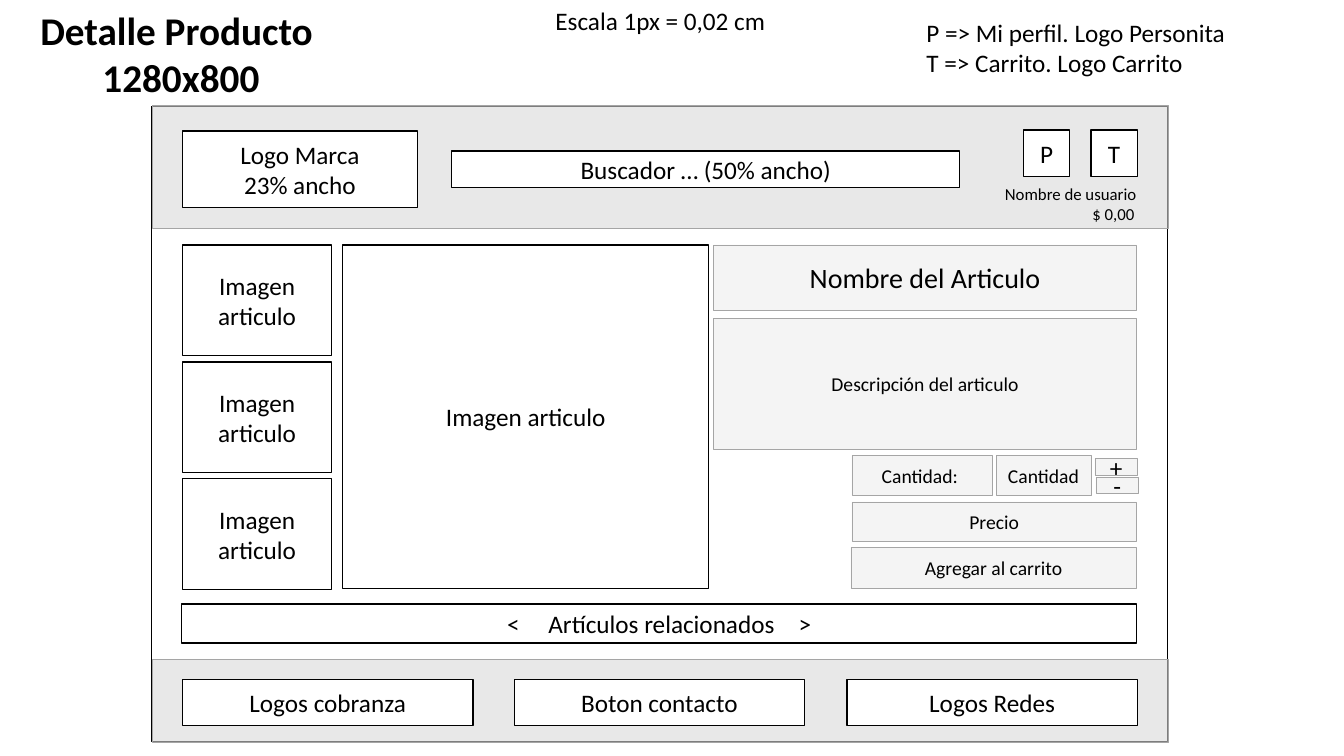
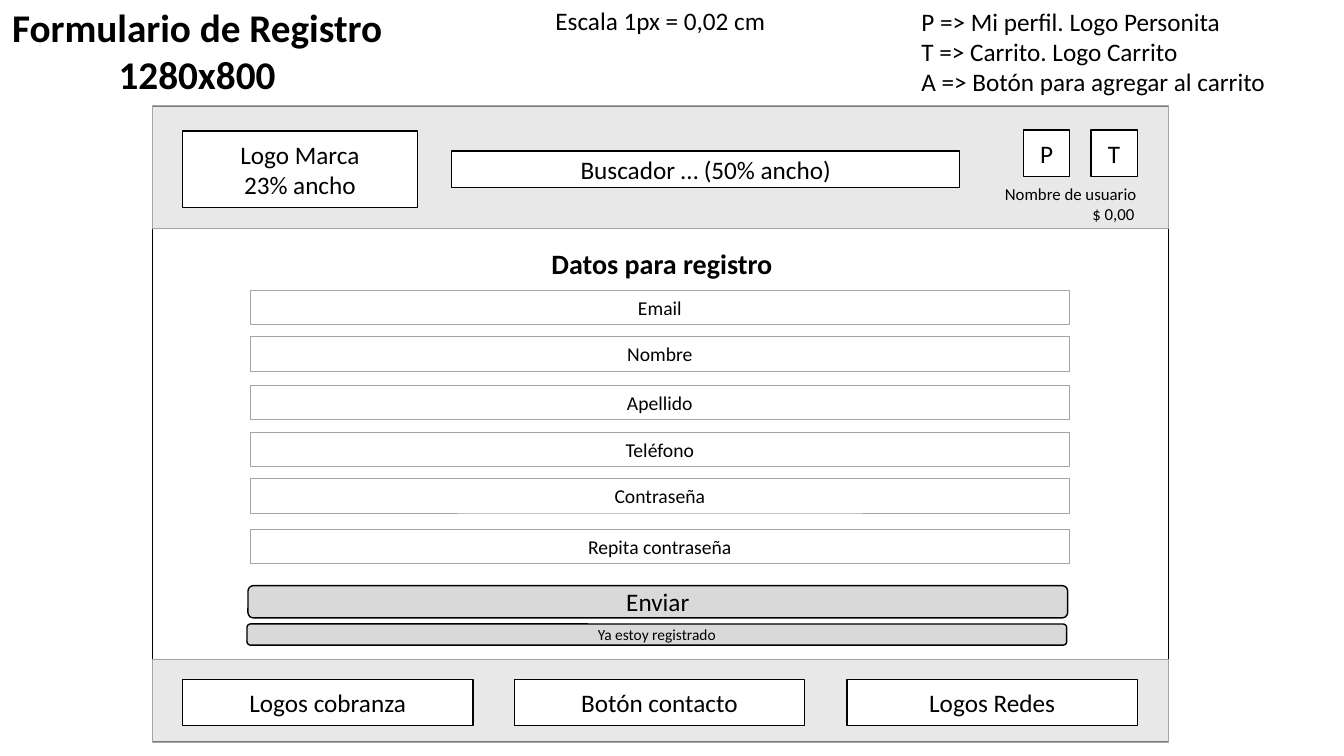
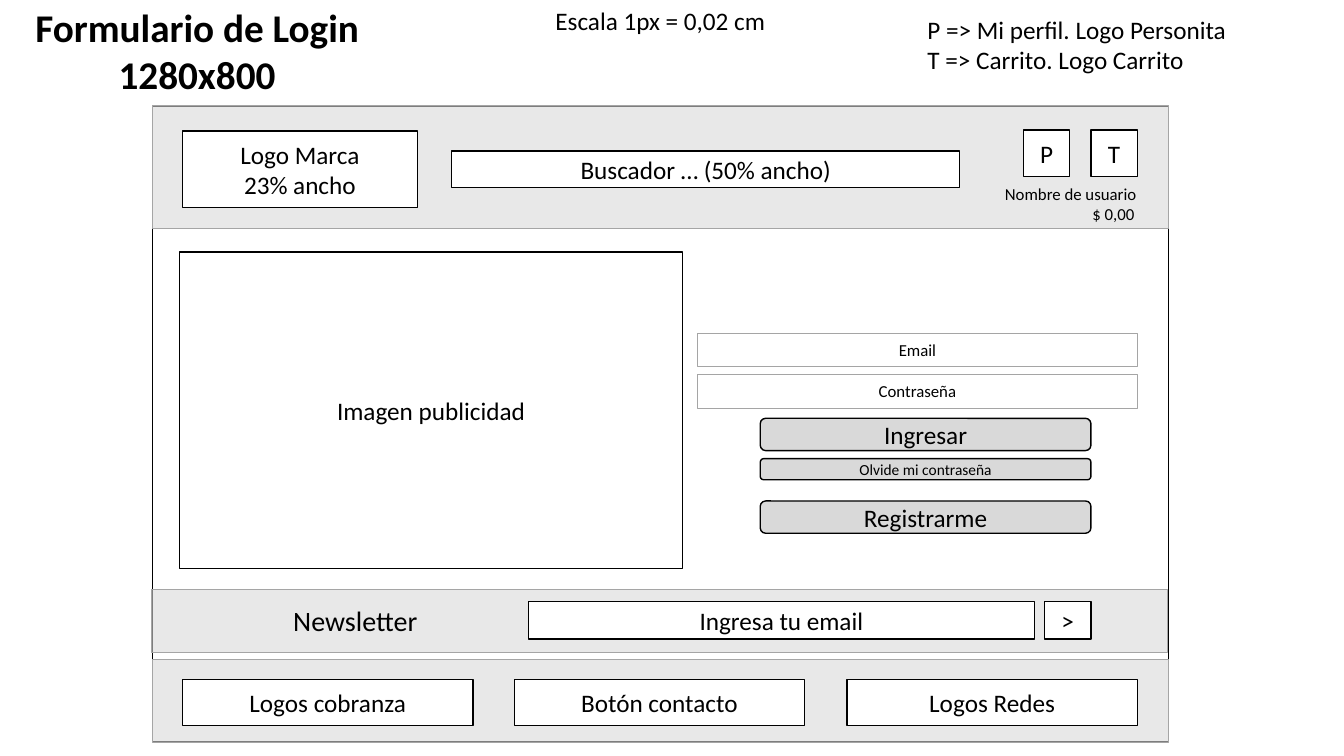
from dataclasses import dataclass

from lxml import etree
from pptx import Presentation
from pptx.dml.color import RGBColor
from pptx.enum.shapes import MSO_SHAPE
from pptx.enum.text import MSO_ANCHOR, MSO_AUTO_SIZE, PP_ALIGN
from pptx.oxml.ns import qn
from pptx.util import Pt

# Shared style: 100 px to the inch
EMU_PER_PX = 9144
FONT = "Calibri"
BLACK, WHITE, GREY, RULE_GREY = "000000", "FFFFFF", "D9D9D9", "A5A5A5"
RECT, ROUNDED = MSO_SHAPE.RECTANGLE, MSO_SHAPE.ROUNDED_RECTANGLE
LEFT, CENTER, RIGHT = PP_ALIGN.LEFT, PP_ALIGN.CENTER, PP_ALIGN.RIGHT
TOP, MIDDLE = MSO_ANCHOR.TOP, MSO_ANCHOR.MIDDLE
TITLE_ONLY = 5


@dataclass(frozen=True)
class Style:
    fill: str = WHITE
    opacity: int = 100
    line: str = BLACK
    line_width: float = 1
    outline: MSO_SHAPE = RECT


WIRE = Style()
BAND = Style(GREY, 58, RULE_GREY, 0.5)
PANEL = Style(GREY, 28, RULE_GREY, 0.5)
FIELD = Style(line=RULE_GREY, line_width=0.5)
BUTTON = Style(GREY, outline=ROUNDED)


@dataclass(frozen=True)
class Box:
    left: int
    top: int
    width: int
    height: int
    text: str = ""
    size: int = 18
    style: Style = WIRE


@dataclass(frozen=True)
class Label:
    left: int
    top: int
    width: int
    height: int
    text: str
    size: int = 18
    align: PP_ALIGN = LEFT
    bold: bool = False
    wrap: bool = True


@dataclass(frozen=True)
class Screen:
    title: Label
    legend: Label
    contact: str
    boxes: list[Box]
    labels: list[Label]
    frame_left: int = 151


def px(length: int) -> int:
    return length * EMU_PER_PX


def color(value: str) -> RGBColor:
    return RGBColor.from_string(value)


def place(shape, item) -> None:
    shape.left, shape.top = px(item.left), px(item.top)
    shape.width, shape.height = px(item.width), px(item.height)


def write(shape, text: str, size: int, align, anchor, bold=False, wrap=True) -> None:
    frame = shape.text_frame
    frame.text = text
    frame.word_wrap = wrap
    frame.vertical_anchor = anchor
    for para in frame.paragraphs:
        para.alignment = align
        for span in para.runs:
            span.font.name = FONT
            span.font.size = Pt(size)
            span.font.bold = bold
            span.font.color.rgb = color(BLACK)


def draw_box(page, box: Box):
    style = box.style
    shape = page.shapes.add_shape(style.outline, 0, 0, 0, 0)
    place(shape, box)
    shape.shadow.inherit = False
    shape.fill.solid()
    shape.fill.fore_color.rgb = color(style.fill)
    if style.opacity < 100:
        tint = shape.fill._xPr.find(f".//{qn('a:srgbClr')}")
        etree.SubElement(tint, qn("a:alpha"), val=str(style.opacity * 1000))
    shape.line.color.rgb = color(style.line)
    shape.line.width = Pt(style.line_width)
    if box.text:
        write(shape, box.text, box.size, CENTER, MIDDLE)
    return shape


def draw_label(page, label: Label) -> None:
    shape = page.shapes.add_textbox(0, 0, 0, 0)
    place(shape, label)
    write(shape, label.text, label.size, label.align, TOP, label.bold, label.wrap)
    shape.text_frame.auto_size = MSO_AUTO_SIZE.SHAPE_TO_FIT_TEXT


def draw_title(page, label: Label) -> None:
    title = page.shapes.title
    place(title, label)
    write(title, label.text, label.size, label.align, TOP, label.bold, label.wrap)
    title.text_frame.auto_size = MSO_AUTO_SIZE.NONE


def draw_related(page) -> None:
    """Carousel bar whose arrows and caption sit on tab stops."""
    bar = draw_box(page, Box(180, 599, 947, 39, "<\tArtículos relacionados\t>"))
    bar.text_frame.margin_left = px(323)
    para = bar.text_frame.paragraphs[0]
    para.alignment = LEFT
    stops = etree.SubElement(para._p.get_or_add_pPr(), qn("a:tabLst"))
    for position in (41, 289):
        etree.SubElement(stops, qn("a:tab"), pos=str(px(position)), algn="l")


def heading(left: int, top: int, width: int, text: str) -> Label:
    return Label(left, top, width, 104, text, 28, CENTER, True, False)


def legend(left: int, top: int, width: int, height: int, *extra: str) -> Label:
    entries = ("P => Mi perfil. Logo Personita", "T => Carrito. Logo Carrito", *extra)
    return Label(left, top, width, height, "\n".join(entries), wrap=False)


# Parts found on every screen
HEADER = [
    Box(151, 105, 1008, 122, style=BAND),
    Box(181, 130, 233, 76, "Logo Marca\n23% ancho"),
    Box(448, 150, 504, 36, "Buscador … (50% ancho)"),
    Box(1015, 129, 46, 46, "P"),
    Box(1082, 129, 46, 46, "T"),
]
HEADER_LABELS = [
    Label(943, 177, 194, 30, "Nombre de usuario", 12, RIGHT),
    Label(941, 197, 194, 30, "$ 0,00", 12, RIGHT),
    Label(541, 0, 231, 40, "Escala 1px = 0,02 cm", wrap=False),
]


def footer(contact: str) -> list[Box]:
    captions = ("Logos cobranza", contact, "Logos Redes")
    return [Box(151, 654, 1008, 82, style=BAND)] + [
        Box(181 + 659 * column // 2, 674, 288, 46, caption)
        for column, caption in enumerate(captions)
    ]


def draw_screen(deck, screen: Screen):
    page = deck.slides.add_slide(deck.slide_layouts[TITLE_ONLY])
    draw_title(page, screen.title)
    frame = Box(screen.frame_left, 106, 1008, 630)
    for box in [frame, *HEADER, *footer(screen.contact), *screen.boxes]:
        draw_box(page, box)
    for label in [*HEADER_LABELS, screen.legend, *screen.labels]:
        draw_label(page, label)
    return page


# Screen contents
PRODUCT = Screen(
    heading(28, 1, 303, "Detalle Producto \n1280x800"),
    legend(909, 12, 320, 71),
    "Boton contacto",
    [Box(181, 243 + 116 * row, 148, 110, "Imagen articulo") for row in range(3)]
    + [
        Box(340, 243, 363, 341, "Imagen articulo"),
        Box(708, 243, 419, 65, "Nombre del Articulo", 20, PANEL),
        Box(708, 316, 419, 130, "Descripción del articulo", 14, PANEL),
        Box(845, 452, 139, 39, "Cantidad: ", 14, PANEL),
        Box(988, 452, 94, 39, "Cantidad", 14, PANEL),
        Box(1086, 455, 42, 17, "+", 18, PANEL),
        Box(1087, 474, 42, 15, "-", 18, PANEL),
        Box(845, 498, 282, 39, "Precio", 14, PANEL),
        Box(844, 543, 283, 41, "Agregar al carrito", 14, PANEL),
    ],
    [],
    frame_left=150,
)

REGISTER_FIELDS = {
    "Email": 288,
    "Nombre": 334,
    "Apellido": 382,
    "Teléfono": 429,
    "Contraseña": 475,
    "Repita contraseña": 525,
}
REGISTER = Screen(
    heading(0, -2, 391, "Formulario de Registro\n1280x800"),
    legend(904, 1, 371, 101, "A => Botón para agregar al carrito"),
    "Botón contacto",
    [Box(248, top, 813, 34, name, 14, FIELD) for name, top in REGISTER_FIELDS.items()]
    + [
        Box(246, 581, 813, 32, "Enviar", 18, BUTTON),
        Box(245, 619, 813, 21, "Ya estoy registrado", 11, BUTTON),
    ],
    [Label(492, 240, 329, 44, "Datos para registro", 20, CENTER, True)],
)

LOGIN = Screen(
    heading(23, -2, 345, "Formulario de Login\n1280x800"),
    legend(910, 9, 320, 71),
    "Botón contacto",
    [
        Box(178, 250, 499, 314, "Imagen publicidad"),
        Box(692, 331, 436, 33, "Email", 12, FIELD),
        Box(692, 371, 436, 34, "Contraseña", 12, FIELD),
        Box(754, 415, 328, 32, "Ingresar", 18, BUTTON),
        Box(754, 455, 328, 21, "Olvide mi contraseña", 11, BUTTON),
        Box(754, 497, 328, 32, "Registrarme", 18, BUTTON),
        Box(150, 585, 1008, 62, style=BAND),
        Box(524, 597, 502, 37, "Ingresa tu email"),
        Box(1036, 597, 46, 37, ">"),
    ],
    [Label(181, 594, 343, 44, "Newsletter", 20, CENTER)],
)


def main() -> None:
    deck = Presentation()
    deck.slide_width, deck.slide_height = px(1333), px(750)
    product_page = draw_screen(deck, PRODUCT)
    draw_related(product_page)
    for screen in (REGISTER, LOGIN):
        draw_screen(deck, screen)
    deck.save("out.pptx")


if __name__ == "__main__":
    main()
